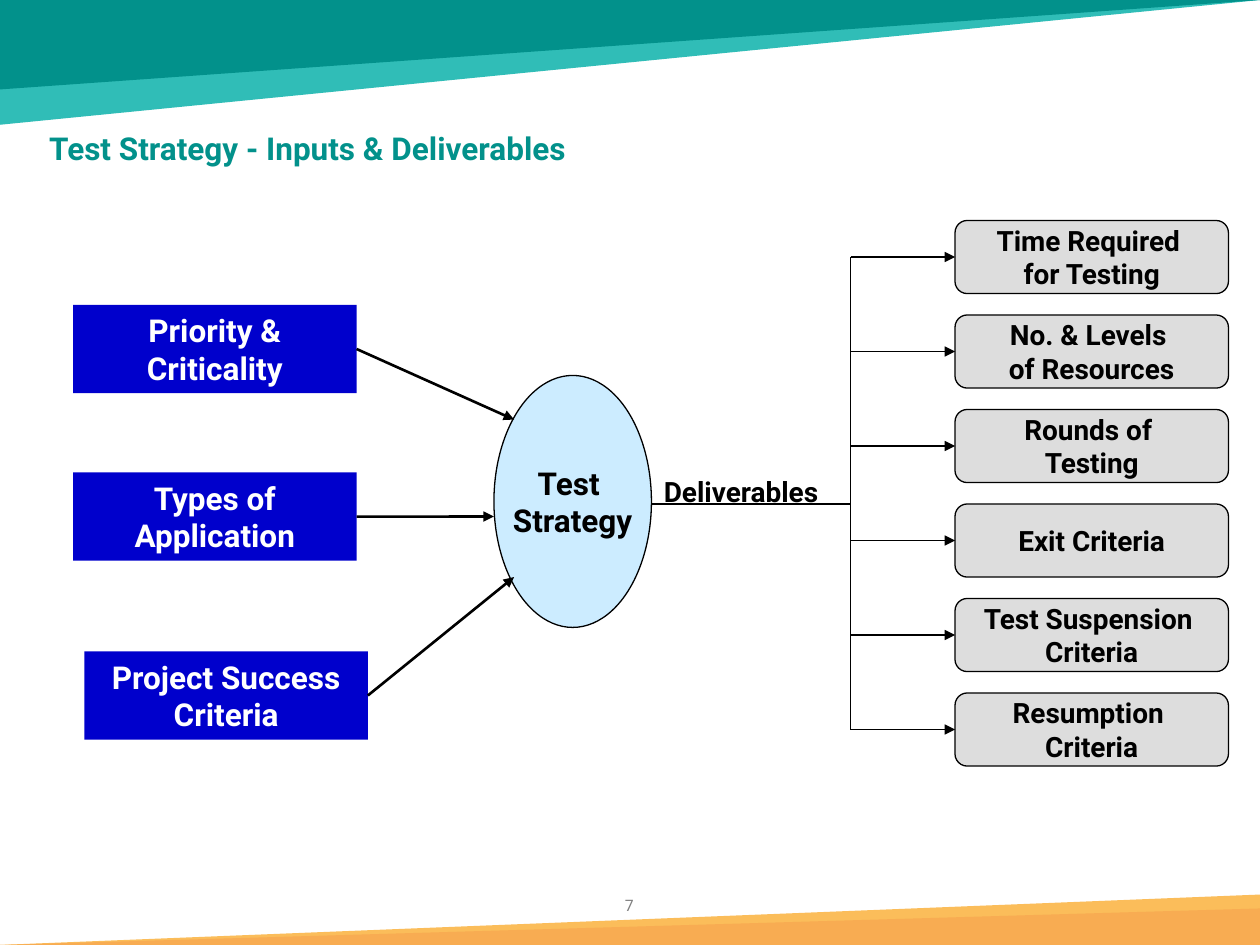
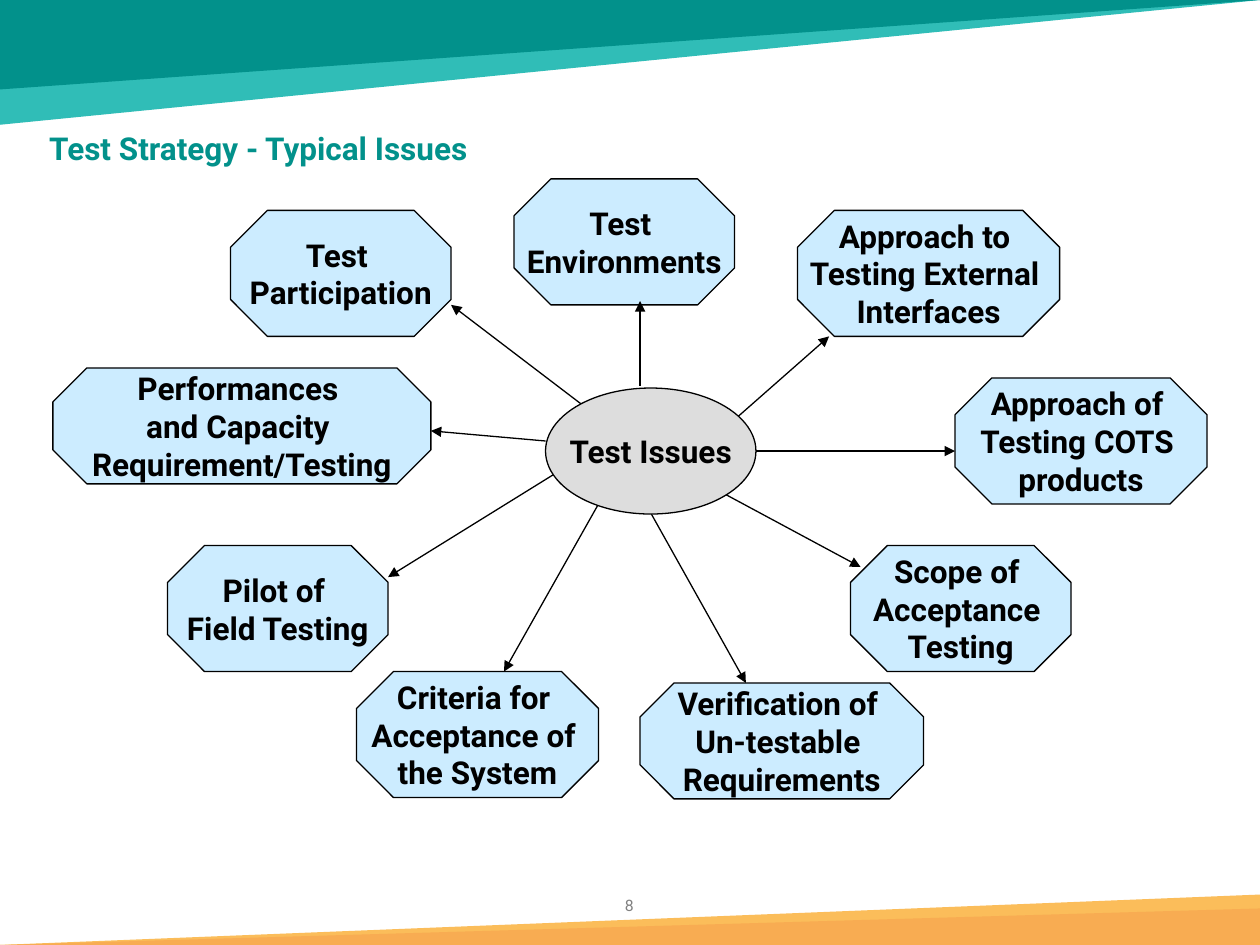
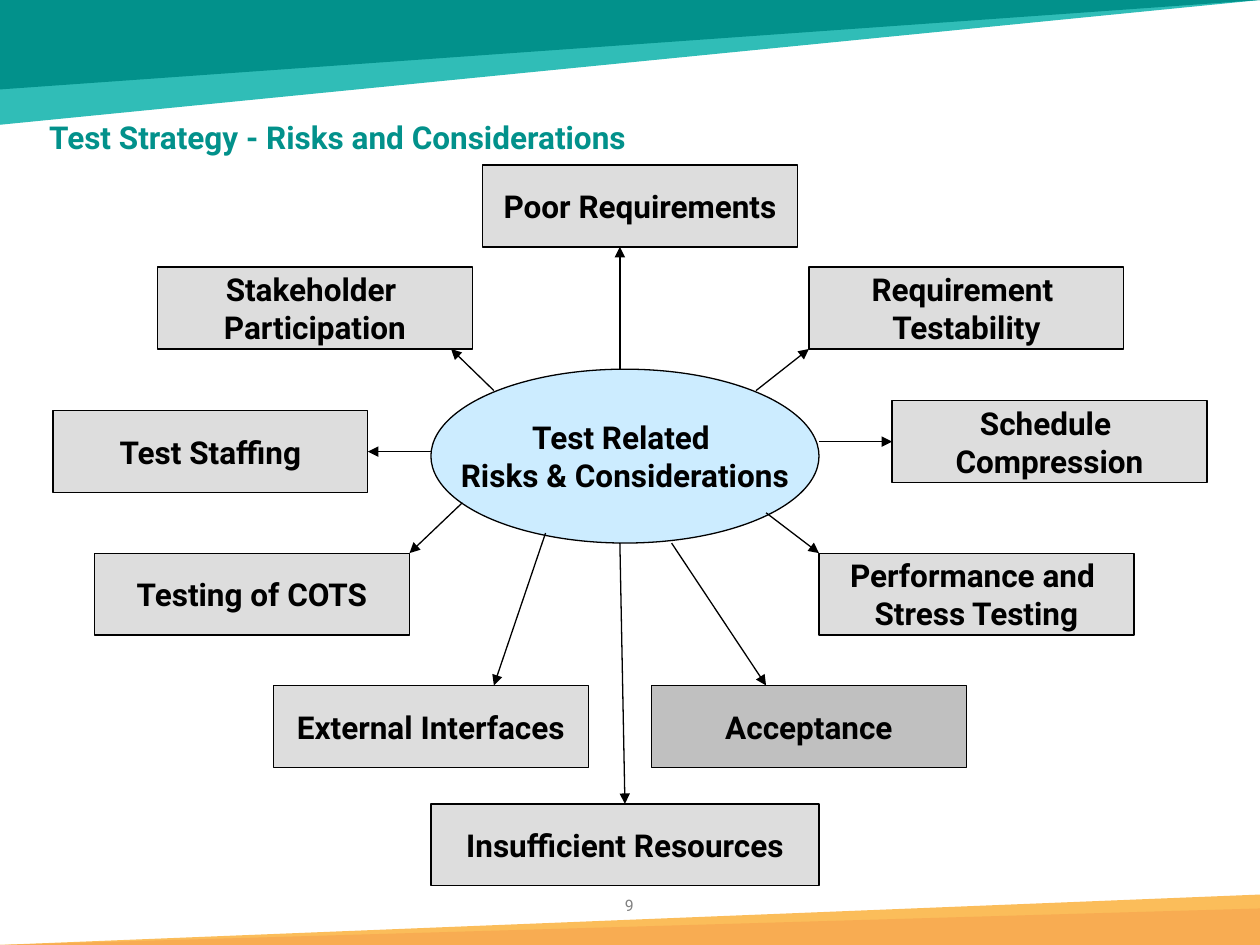
from dataclasses import dataclass, replace
from typing import Optional

import lxml.etree
import pptx
import pptx.dml.color
import pptx.enum.shapes
import pptx.enum.text
import pptx.oxml.ns
import pptx.util

Inches = pptx.util.Inches
Shape = pptx.enum.shapes.MSO_SHAPE
Anchor = pptx.enum.text.MSO_ANCHOR
Align = pptx.enum.text.PP_ALIGN

FONT = "Roboto"
COLORS = {
    "teal": "02918B",
    "turquoise": "30BDB7",
    "amber": "FBBD5A",
    "orange": "F8AC52",
    "sky": "CCECFF",
    "blue": "0000CC",
    "silver": "DDDDDD",
    "gray": "C0C0C0",
    "page_gray": "808080",
    "black": "000000",
    "white": "FFFFFF",
}
TOP, LEFT, BOTTOM, RIGHT = range(4)
FIRST_PAGE = 7
TITLE_TOP = 1.01


@dataclass(frozen=True)
class Area:
    left: float
    top: float
    width: float
    height: float

    def lengths(self) -> tuple:
        return tuple(Inches(v) for v in (self.left, self.top, self.width, self.height))


@dataclass(frozen=True)
class Band:
    color: str
    area: Area
    rotation: int


@dataclass(frozen=True)
class Look:
    """Outline, colours and text settings of a labelled shape."""
    shape: Shape
    fill: str
    text: str = "black"
    line: Optional[str] = "black"
    size: int = 18
    wrap: bool = False
    anchor: Anchor = Anchor.MIDDLE


@dataclass(frozen=True)
class Spoke:
    """A box around a hub, with the arrow that leads to it."""
    label: str  # \n starts a paragraph, \v a line
    area: Area
    start: tuple
    end: tuple
    site: Optional[int] = None
    fill: Optional[str] = None


BANDS = [
    Band("turquoise", Area(0, 0, 10, 0.99), 180),
    Band("teal", Area(0, 0, 10, 0.71), 180),
    Band("amber", Area(0, 7.1, 10, 0.4), 0),
    Band("orange", Area(0, 7.21, 10, 0.29), 0),
]


# Shared drawing functions
def rgb(name: str) -> pptx.dml.color.RGBColor:
    return pptx.dml.color.RGBColor.from_string(COLORS[name])


def format_text(frame, size: float, color: str, bold: bool = True,
                **para_values) -> None:
    font_values = {"name": FONT, "size": pptx.util.Pt(size), "bold": bold}
    for para in frame.paragraphs:
        for name, value in para_values.items():
            setattr(para, name, value)
        for span in para.runs:
            for name, value in font_values.items():
                setattr(span.font, name, value)
            span.font.color.rgb = rgb(color)


def add_label(page, text: str, area: Area, size: float, color: str, **values):
    box = page.shapes.add_textbox(*area.lengths())
    box.text_frame.word_wrap = True
    box.text_frame.text = text
    format_text(box.text_frame, size, color, **values)
    return box


def add_plain_shape(page, shape: Shape, area: Area, fill: str):
    box = page.shapes.add_shape(shape, *area.lengths())
    box.shadow.inherit = False
    box.fill.solid()
    box.fill.fore_color.rgb = rgb(fill)
    box.line.fill.background()
    return box


def add_box(page, look: Look, label: str, area: Area):
    box = add_plain_shape(page, look.shape, area, look.fill)
    if look.line:
        box.line.color.rgb = rgb(look.line)
        box.line.width = pptx.util.Pt(0.75)
    frame = box.text_frame
    frame.text = label
    frame.word_wrap = look.wrap
    frame.vertical_anchor = look.anchor
    format_text(frame, look.size, look.text, alignment=Align.CENTER)
    return box


def add_link(page, start: tuple, end: tuple, width: float = 0.75,
             arrow: bool = True):
    link = page.shapes.add_connector(
        pptx.enum.shapes.MSO_CONNECTOR.STRAIGHT,
        *(Inches(value) for value in start + end))
    link.line.color.rgb = rgb("black")
    link.line.width = pptx.util.Pt(width)
    qn = pptx.oxml.ns.qn
    if arrow:
        outline = link.line._get_or_add_ln()
        lxml.etree.SubElement(outline, qn("a:tailEnd"), type="triangle")
    lxml.etree.SubElement(link.element.spPr, qn("a:effectLst"))
    return link


def add_spokes(page, look: Look, spokes: list) -> None:
    boxes = [add_box(page, replace(look, fill=spoke.fill or look.fill),
                     spoke.label, spoke.area) for spoke in spokes]
    for spoke, box in zip(spokes, boxes):
        link = add_link(page, spoke.start, spoke.end)
        if spoke.site is not None:
            link.end_connect(box, spoke.site)


def add_bands_to_layout(page) -> None:
    """Draw the bands and move them behind everything on the layout."""
    tree = page.slide_layout.shapes.element
    for index, band in enumerate(BANDS):
        shape = add_plain_shape(page, Shape.RIGHT_TRIANGLE, band.area, band.color)
        shape.rotation = band.rotation
        shape.element.spPr.xfrm.set("flipH", "1")
        shape.element.nvSpPr.cNvPr.set("id", str(100 + index))
        tree.insert(2 + index, shape.element)


def add_page(deck, title: str, title_top: float = TITLE_TOP):
    page = deck.slides.add_slide(deck.slide_layouts[5])
    number = len(deck.slides) + FIRST_PAGE - 1
    add_label(page, str(number), Area(4.75, 7.06, 0.49, 0.25), 9, "page_gray",
              bold=False, alignment=Align.CENTER)
    heading = page.shapes.title
    names = ("left", "top", "width", "height")
    for name, value in zip(names, Area(0.29, title_top, 6.59, 0.4).lengths()):
        setattr(heading, name, value)
    heading.text_frame.text = title
    heading.text_frame.word_wrap = True
    heading.text_frame.vertical_anchor = Anchor.TOP
    format_text(heading.text_frame, 18, "teal",
                alignment=Align.LEFT, line_spacing=0.9)
    return page


# Slide: inputs and deliverables
def build_inputs_page(deck) -> None:
    page = add_page(deck, "Test Strategy - Inputs & Deliverables")
    add_bands_to_layout(page)
    add_box(page, Look(Shape.OVAL, "sky"), "Test \nStrategy",
            Area(3.92, 2.98, 1.25, 2))

    # Inputs on the left, each with an arrow to the strategy
    input_look = Look(Shape.RECTANGLE, "blue", text="white", line=None,
                      wrap=True, anchor=Anchor.TOP)
    inputs = [
        ("Priority & Criticality", 0.58, 2.42, (4.08, 3.33)),
        ("Types of Application", 0.58, 3.75, (3.92, 4.1)),
        ("Project Success Criteria", 0.67, 5.17, (4.08, 4.58)),
    ]
    for label, left, top, target in inputs:
        box = add_box(page, input_look, label, Area(left, top, 2.25, 0.7))
        link = add_link(page, (left + 2.25, top + 0.35), target, width=1.5)
        link.begin_connect(box, RIGHT)

    # Deliverables on the right, branching off one spine
    deliverable_look = Look(Shape.ROUNDED_RECTANGLE, "silver", size=16)
    deliverables = [
        "Time Required \nfor Testing",
        "No. & Levels \nof Resources",
        "Rounds of \nTesting",
        "Exit Criteria",
        "Test Suspension \nCriteria",
        "Resumption \nCriteria",
    ]
    spine, box_left, height, step = 6.75, 7.58, 0.58, 0.75
    first_middle = 1.75 + height / 2
    for index, label in enumerate(deliverables):
        middle = first_middle + index * step
        box = add_box(page, deliverable_look, label,
                      Area(box_left, middle - height / 2, 2.17, height))
        link = add_link(page, (spine, middle), (box_left, middle))
        link.end_connect(box, LEFT)
    last_middle = first_middle + (len(deliverables) - 1) * step
    add_link(page, (5.17, 4), (spine, 4), arrow=False)
    add_link(page, (spine, first_middle), (spine, last_middle), arrow=False)
    add_label(page, "Deliverables", Area(5.17, 3.72, 1.58, 0.37), 16, "black")


# Slide: typical issues
def build_issues_page(deck) -> None:
    page = add_page(deck, "Test Strategy - Typical Issues")
    add_spokes(page, Look(Shape.OCTAGON, "sky"), [
        Spoke("Test \nParticipation", Area(1.83, 1.67, 1.75, 1),
              (4.67, 3.25), (3.58, 2.42)),
        Spoke("Test \nEnvironments", Area(4.08, 1.42, 1.75, 1),
              (5.08, 3.06), (5.08, 2.39)),
        Spoke("Approach to \vTesting External \nInterfaces",
              Area(6.33, 1.67, 2.08, 1), (5.83, 3.33), (6.58, 2.67)),
        Spoke("Approach of \nTesting COTS \vproducts", Area(7.58, 3, 2, 1),
              (6, 3.58), (7.58, 3.58)),
        Spoke("Scope of \nAcceptance \vTesting", Area(6.75, 4.33, 1.75, 1),
              (5.75, 3.92), (6.83, 4.5)),
        Spoke("Verification of \vUn-testable \nRequirements",
              Area(5.08, 5.42, 2.25, 0.92), (5.17, 4.08), (5.92, 5.42)),
        Spoke("Criteria for \vAcceptance of \vthe System",
              Area(2.83, 5.33, 1.92, 1), (4.75, 4), (4, 5.33)),
        Spoke("Pilot of \vField Testing", Area(1.33, 4.33, 1.75, 1),
              (4.42, 3.75), (3.08, 4.58)),
        Spoke("Performances \vand Capacity \nRequirement/Testing",
              Area(0.42, 2.92, 3, 0.92), (4.33, 3.5), (3.42, 3.42)),
    ])
    # The hub covers the inner ends of the arrows
    add_box(page, Look(Shape.OVAL, "silver"), "Test Issues",
            Area(4.33, 3.08, 1.67, 1))


# Slide: risks and considerations
def risk_area(left: float, top: float, width: float = 2.5) -> Area:
    return Area(left, top, width, 0.65)


def build_risks_page(deck) -> None:
    page = add_page(deck, "Test Strategy - Risks and Considerations", 0.92)
    add_box(page, Look(Shape.OVAL, "sky"),
            "Test Related \vRisks & Considerations",
            Area(3.42, 2.93, 3.08, 1.38))
    # The lowest box ends above the page number
    add_spokes(page, Look(Shape.RECTANGLE, "silver"), [
        Spoke("Poor Requirements", risk_area(3.83, 1.31),
              (4.92, 2.93), (4.92, 1.96)),
        Spoke("Stakeholder \nParticipation", risk_area(1.25, 2.12),
              (3.92, 3.1), (3.58, 2.77)),
        Spoke("Test Staffing", risk_area(0.42, 3.26),
              (3.42, 3.585), (2.92, 3.585), RIGHT),
        Spoke("Testing of COTS", risk_area(0.75, 4.39),
              (3.67, 3.99), (3.25, 4.39)),
        Spoke("External Interfaces", risk_area(2.17, 5.44),
              (4.33, 4.23), (3.92, 5.44)),
        Spoke("Performance and \vStress Testing", risk_area(6.5, 4.39),
              (6.08, 4.07), (6.5, 4.39)),
        Spoke("Schedule \nCompression", risk_area(7.08, 3.18),
              (6.5, 3.505), (7.08, 3.505), LEFT),
        Spoke("Requirement \nTestability", risk_area(6.42, 2.12),
              (6, 3.1), (6.42, 2.77)),
        Spoke("Acceptance", risk_area(5.17, 5.44),
              (5.33, 4.31), (6.08, 5.44), fill="gray"),
        Spoke("Insufficient Resources", risk_area(3.42, 6.38, 3.08),
              (4.92, 4.31), (4.96, 6.38), TOP),
    ])


def main() -> None:
    deck = pptx.Presentation()
    deck.slide_width, deck.slide_height = Inches(10), Inches(7.5)
    build_inputs_page(deck)
    build_issues_page(deck)
    build_risks_page(deck)
    deck.save("out.pptx")


if __name__ == "__main__":
    main()
